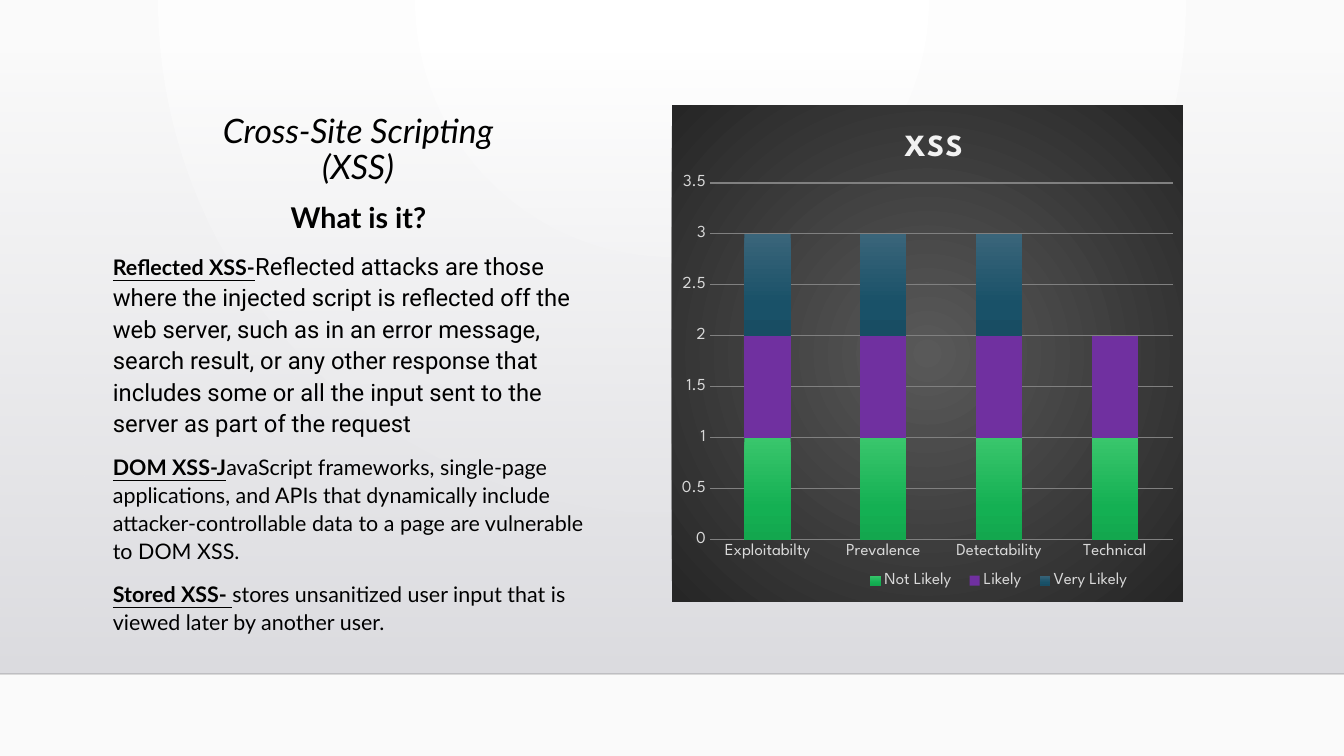
from dataclasses import dataclass
from typing import Any, NamedTuple, Optional, Union

from lxml.etree import SubElement
from pptx import Presentation
from pptx.chart.data import CategoryChartData
from pptx.dml.color import RGBColor
from pptx.enum.chart import XL_CHART_TYPE, XL_LEGEND_POSITION, XL_TICK_MARK
from pptx.enum.shapes import MSO_CONNECTOR, MSO_SHAPE
from pptx.enum.text import MSO_ANCHOR, MSO_AUTO_SIZE, PP_ALIGN
from pptx.oxml.ns import qn
from pptx.util import Emu, Pt

EMU_PER_PX = 12192000 / 1344


class Box(NamedTuple):
    left: int
    top: int
    width: int
    height: int

    def emu(self) -> list[Emu]:
        return [px(length) for length in self]


class Stop(NamedTuple):
    percent: int
    color: str
    opacity: int = 100


@dataclass(frozen=True)
class Gradient:
    """Linear from top to bottom, or circular around focus (left, top, right, bottom)."""
    stops: tuple[Stop, ...]
    focus: Optional[tuple[int, int, int, int]] = None


@dataclass(frozen=True)
class Theme:
    text_font: str = "Lato"
    quote_font: str = "Roboto"
    chart_font: str = "League Spartan"
    ink: str = "000000"
    rule: str = "000001"
    chart_title: str = "F2F2F2"
    chart_text: str = "D9D9D9"
    grid: str = "808080"
    likely: str = "7030A0"
    title_size: float = 24
    heading_size: float = 20.4
    body_size: float = 15.3
    quote_size: float = 17
    chart_title_size: float = 22
    chart_text_size: float = 12
    page: Gradient = Gradient((Stop(0, "FFFFFF"), Stop(100, "FAFAFA")), (43, 0, 43, 100))
    wall: Gradient = Gradient((Stop(0, "DCDCE0", 0), Stop(100, "DEDEE2")))
    chart: Gradient = Gradient((Stop(0, "595959"), Stop(100, "262626")), (50, 50, 50, 50))
    not_likely: Gradient = Gradient(
        (Stop(0, "39C66C"), Stop(69, "14B053"), Stop(100, "13A74E")))
    very_likely: Gradient = Gradient(
        (Stop(0, "3A657A"), Stop(69, "195168"), Stop(100, "184D63")))


THEME = Theme()


class Attack(NamedTuple):
    term: str
    meaning: str
    font: str = THEME.text_font
    size: float = THEME.body_size


class Rating(NamedTuple):
    name: str
    values: tuple[Optional[int], ...]
    paint: Union[str, Gradient]


PAGE = Box(0, 0, 1344, 756)
WALL = Box(0, 51, 1344, 623)
TITLE = Box(183, 111, 350, 81)
BODY = Box(103, 192, 511, 460)
CHART = Box(672, 105, 511, 497)
PLOT = Box(710, 183, 463, 357)
LEGEND = Box(858, 567, 282, 27)
CHART_TITLE = Box(899, 126, 58, 30)

ATTACKS = (
    Attack("Reflected XSS-",
           "Reflected attacks are those where the injected script is reflected off the web "
           "server, such as in an error message, search result, or any other response that "
           "includes some or all the input sent to the server as part of the request",
           THEME.quote_font, THEME.quote_size),
    Attack("DOM XSS-J",
           "avaScript frameworks, single-page applications, and APIs that dynamically include "
           "attacker-controllable data to a page are vulnerable to DOM XSS."),
    Attack("Stored XSS- ",
           "stores unsanitized user input that is viewed later by another user."),
)
CATEGORIES = ("Exploitabilty", "Prevalence", "Detectability", "Technical")
RATINGS = (
    Rating("Not Likely", (1, 1, 1, 1), THEME.not_likely),
    Rating("Likely", (1, 1, 1, 1), THEME.likely),
    Rating("Very Likely", (1, 1, 1, None), THEME.very_likely),
)


def px(length: int) -> Emu:
    return Emu(round(length * EMU_PER_PX))


def set_font(font: Any, name: str, size: float, color: str) -> None:
    font.name, font.size = name, Pt(size)
    font.color.rgb = RGBColor.from_string(color)


def add_gradient(properties: Any, gradient: Gradient) -> None:
    """Put the gradient in place of any solid fill among the shape properties."""
    fill = SubElement(properties, qn("a:gradFill"), rotWithShape="1")
    stops = SubElement(fill, qn("a:gsLst"))
    for stop in gradient.stops:
        node = SubElement(stops, qn("a:gs"), pos=str(stop.percent * 1000))
        color = SubElement(node, qn("a:srgbClr"), val=stop.color)
        if stop.opacity < 100:
            SubElement(color, qn("a:alpha"), val=str(stop.opacity * 1000))
    if gradient.focus:
        circle = SubElement(fill, qn("a:path"), path="circle")
        edges = {side: str(part * 1000) for side, part in zip("ltrb", gradient.focus)}
        SubElement(circle, qn("a:fillToRect"), edges)
    else:
        SubElement(fill, qn("a:lin"), ang="5400000", scaled="0")
    solid = properties.find(qn("a:solidFill"))
    if solid is not None:
        properties.replace(solid, fill)


def add_backdrop(page: Any) -> None:
    page.background.fill.solid()
    add_gradient(page.element.find(".//" + qn("p:bgPr")), THEME.page)
    wall = page.shapes.add_shape(MSO_SHAPE.RECTANGLE, *WALL.emu())
    wall.shadow.inherit = False
    wall.line.fill.background()
    wall.fill.solid()
    add_gradient(wall.element.spPr, THEME.wall)
    floor = WALL.top + WALL.height
    edge = page.shapes.add_connector(
        MSO_CONNECTOR.STRAIGHT, px(0), px(floor), px(PAGE.width), px(floor))
    edge.line.width = Pt(1)
    edge.line.color.rgb = RGBColor.from_string(THEME.rule)
    color = edge.element.spPr.find(".//" + qn("a:srgbClr"))
    SubElement(color, qn("a:alpha"), val="20000")
    SubElement(edge.element.spPr, qn("a:effectLst"))


def add_title(page: Any) -> None:
    title = page.shapes.title
    page.shapes.element.append(title.element)  # in front of the backdrop
    title.left, title.top, title.width, title.height = TITLE.emu()
    frame = title.text_frame
    frame.text = "Cross-Site Scripting (XSS)"
    frame.word_wrap, frame.auto_size = True, MSO_AUTO_SIZE.NONE
    frame.vertical_anchor = MSO_ANCHOR.BOTTOM
    para = frame.paragraphs[0]
    para.alignment, para.line_spacing = PP_ALIGN.CENTER, 0.9
    set_font(para.font, THEME.text_font, THEME.title_size, THEME.ink)
    para.font.italic = True


def add_body(page: Any) -> None:
    frame = page.shapes.add_textbox(*BODY.emu()).text_frame
    frame.word_wrap = True
    heading = frame.paragraphs[0]
    heading.text = "What is it?"
    heading.alignment = PP_ALIGN.CENTER
    set_font(heading.font, THEME.text_font, THEME.heading_size, THEME.ink)
    heading.font.bold = True
    for attack in ATTACKS:
        para = frame.add_paragraph()
        set_font(para.font, THEME.text_font, THEME.body_size, THEME.ink)
        term, meaning = para.add_run(), para.add_run()
        term.text, meaning.text = attack.term, attack.meaning
        term.font.bold = term.font.underline = True
        meaning.font.name, meaning.font.size = attack.font, Pt(attack.size)
    for para in frame.paragraphs:
        para.line_spacing, para.space_before = 1.1, Pt(10)


def place_in_chart(part: Any, box: Box, inner: bool = False) -> None:
    """Fix a chart part at a box given in page px."""
    layout = part.get_or_add_layout() if hasattr(part, "get_or_add_layout") \
        else part.find(qn("c:layout"))
    if layout is None:
        layout = part.makeelement(qn("c:layout"))
        part.insert(0, layout)
    for child in list(layout):
        layout.remove(child)
    manual = SubElement(layout, qn("c:manualLayout"))
    if inner:
        SubElement(manual, qn("c:layoutTarget"), val="inner")
    for name in ("xMode", "yMode"):
        SubElement(manual, qn(f"c:{name}"), val="edge")
    shares = {"x": (box.left - CHART.left) / CHART.width,
              "y": (box.top - CHART.top) / CHART.height,
              "w": box.width / CHART.width, "h": box.height / CHART.height}
    for name, share in shares.items():
        SubElement(manual, qn(f"c:{name}"), val=f"{share:.3f}")


def add_rating_chart(page: Any) -> None:
    data = CategoryChartData()
    data.categories = CATEGORIES
    for rating in RATINGS:
        data.add_series(rating.name, rating.values)
    chart = page.shapes.add_chart(XL_CHART_TYPE.COLUMN_STACKED, *CHART.emu(), data).chart
    set_font(chart.font, THEME.chart_font, THEME.chart_text_size, THEME.chart_text)
    space = chart.element
    backing = space.makeelement(qn("c:spPr"))
    space.find(qn("c:chart")).addnext(backing)
    add_gradient(backing, THEME.chart)

    chart.has_title = True
    frame = chart.chart_title.text_frame
    frame.text = "XSS"
    font = frame.paragraphs[0].runs[0].font
    set_font(font, THEME.chart_font, THEME.chart_title_size, THEME.chart_title)
    font.bold = True
    frame.paragraphs[0].runs[0].font._element.set("spc", "100")
    place_in_chart(chart.chart_title.element, CHART_TITLE)

    chart.has_legend = True
    chart.legend.position = XL_LEGEND_POSITION.BOTTOM
    chart.legend.include_in_layout = False
    place_in_chart(chart.legend._element, LEGEND)
    place_in_chart(space.find(".//" + qn("c:plotArea")), PLOT, inner=True)

    for axis in (chart.category_axis, chart.value_axis):
        axis.major_tick_mark = axis.minor_tick_mark = XL_TICK_MARK.NONE
        axis.format.line.fill.background()
        set_font(axis.tick_labels.font, THEME.chart_font,
                 THEME.chart_text_size, THEME.chart_text)
    scale = chart.value_axis
    scale.minimum_scale, scale.maximum_scale, scale.major_unit = 0, 3.5, 0.5
    grid = scale.major_gridlines.format.line
    grid.width = Pt(0.75)
    grid.color.rgb = RGBColor.from_string(THEME.grid)

    plot = chart.plots[0]
    plot.gap_width, plot.overlap, plot.vary_by_categories = 150, 100, False
    for series, rating in zip(plot.series, RATINGS):
        series.format.fill.solid()
        if isinstance(rating.paint, Gradient):
            add_gradient(series._element.spPr, rating.paint)
        else:
            series.format.fill.fore_color.rgb = RGBColor.from_string(rating.paint)


def main() -> None:
    deck = Presentation()
    deck.slide_width, deck.slide_height = px(PAGE.width), px(PAGE.height)
    page = deck.slides.add_slide(deck.slide_layouts.get_by_name("Title Only"))
    add_backdrop(page)
    add_title(page)
    add_body(page)
    add_rating_chart(page)
    deck.save("out.pptx")


if __name__ == "__main__":
    main()
